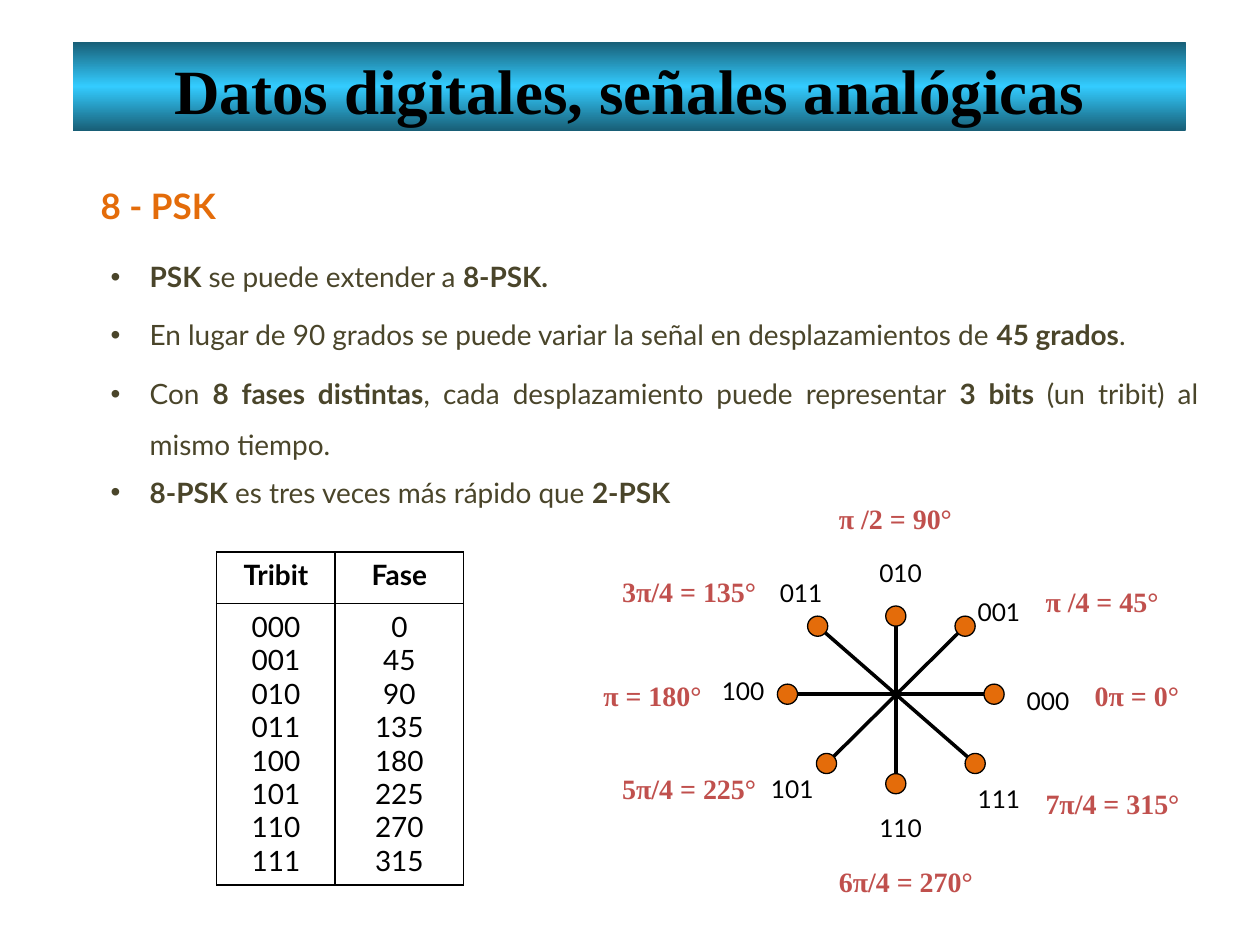
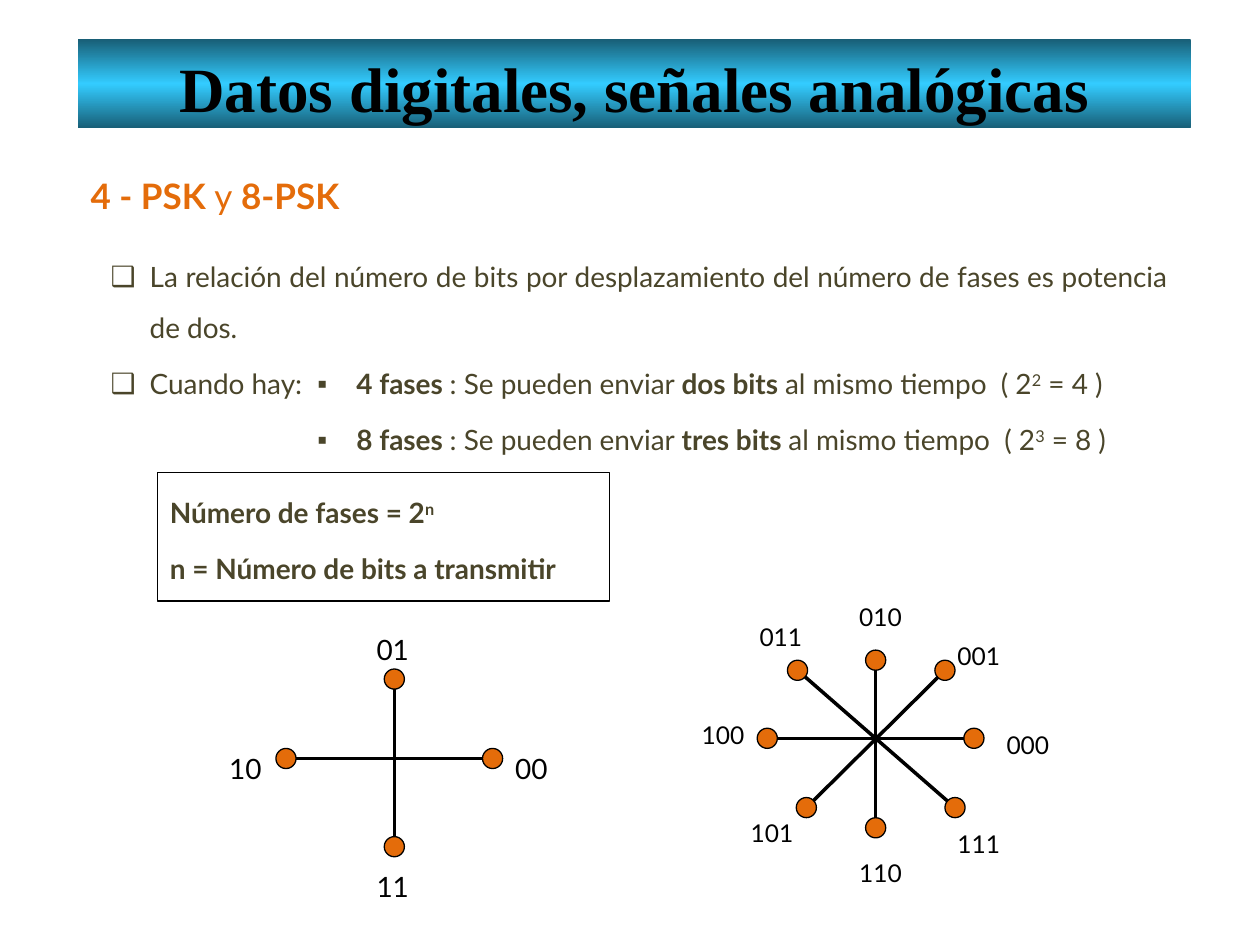
import copy

import pptx
import pptx.dml.color
import pptx.enum.shapes
import pptx.enum.text
import pptx.oxml.ns
import pptx.util
from lxml import etree

Inches = pptx.util.Inches
Pt = pptx.util.Pt
RGB = pptx.dml.color.RGBColor
Align = pptx.enum.text.PP_ALIGN
Anchor = pptx.enum.text.MSO_ANCHOR
Kind = pptx.enum.shapes.MSO_SHAPE
qn = pptx.oxml.ns.qn

BLACK = RGB(0x00, 0x00, 0x00)
TEAL = RGB(0x18, 0x5E, 0x76)
SKY = RGB(0x33, 0xCC, 0xFF)
ORANGE = RGB(0xE4, 0x6C, 0x0A)
OLIVE = RGB(0x4A, 0x45, 0x2A)
RED = RGB(0xC0, 0x50, 0x4D)

SANS = "Lato"
SERIF = "Times New Roman"
DOT = 0.16
HANG = 0.31

EIGHT = [
    ("000", 0.78, 0, 0.94, -0.23),
    ("001", 0.55, -0.54, 0.55, -0.94),
    ("010", 0, -0.62, -0.23, -1.25),
    ("011", -0.62, -0.54, -1.02, -1.09),
    ("100", -0.86, 0, -1.48, -0.31),
    ("101", -0.55, 0.55, -1.09, 0.47),
    ("110", 0, 0.71, -0.23, 0.78),
    ("111", 0.63, 0.55, 0.55, 0.55),
]
FOUR = [
    ("00", 0.78, 0, 0.86, -0.24),
    ("01", 0, -0.63, -0.24, -1.18),
    ("10", -0.86, 0, -1.41, -0.24),
    ("11", 0, 0.7, -0.24, 0.7),
]


class Deck:
    def __init__(self):
        self.file = pptx.Presentation()
        self.file.slide_width = Inches(10)
        self.file.slide_height = Inches(7.5)
        self.slide = None

    def start(self, left, top):
        self.slide = self.file.slides.add_slide(self.file.slide_layouts[5])
        band = self.slide.shapes.title
        band.left, band.top = Inches(left), Inches(top)
        band.width, band.height = Inches(8.83), Inches(0.71)
        band.fill.gradient()
        band.fill.gradient_angle = 90
        stops = next(band._element.iter(qn("a:gsLst")))
        stops.append(copy.deepcopy(stops[0]))
        for stop, place, tone in zip(band.fill.gradient_stops, (0, 0.5, 1), (TEAL, SKY, TEAL)):
            stop.position = place
            stop.color.rgb = tone
        frame = band.text_frame
        frame.text = "Datos digitales, señales analógicas"
        frame.auto_size = pptx.enum.text.MSO_AUTO_SIZE.NONE
        frame.vertical_anchor = Anchor.MIDDLE
        frame.margin_top, frame.margin_bottom = Inches(0.1), Inches(0.05)
        para = frame.paragraphs[0]
        para.alignment = Align.CENTER
        self.style(para.runs[0], 36, BLACK, True, SERIF)

    def style(self, run, size, color, bold=False, face=SANS):
        run.font.name = face
        run.font.size = Pt(size)
        run.font.bold = bold
        run.font.color.rgb = color

    def lines(self, frame, rows, size, color, face=SANS, mark=None, gap=0.0):
        frame.word_wrap = True
        frame.vertical_anchor = Anchor.TOP
        frame.text = "\n".join(rows)
        for para, row in zip(frame.paragraphs, rows):
            para.text = ""
            para.alignment = Align.JUSTIFY
            para.line_spacing = 1.5
            para.space_before = Pt(size * gap)
            if mark:
                self.bullet(para, mark)
            for i, part in enumerate(row.split("*")):
                for j, piece in enumerate(part.split("^")):
                    if piece:
                        run = para.add_run()
                        run.text = piece
                        self.style(run, size, color, i % 2 == 1, face)
                        if j % 2:
                            run._r.get_or_add_rPr().set("baseline", "30000")

    def bullet(self, para, mark):
        props = para._p.get_or_add_pPr()
        props.set("marL", str(Inches(HANG)))
        props.set("indent", str(-Inches(HANG)))
        etree.SubElement(props, qn("a:buFont")).set("typeface", "Arial")
        etree.SubElement(props, qn("a:buChar")).set("char", mark)

    def text(self, left, top, width, height, rows, size=16, color=OLIVE, **rest):
        box = self.slide.shapes.add_textbox(
            Inches(left), Inches(top), Inches(width), Inches(height))
        self.lines(box.text_frame, rows, size, color, **rest)

    def shape(self, kind, left, top, width, height, fill=None):
        item = self.slide.shapes.add_shape(
            kind, Inches(left), Inches(top), Inches(width), Inches(height))
        item.shadow.inherit = False
        if fill is None:
            item.fill.background()
        else:
            item.fill.solid()
            item.fill.fore_color.rgb = fill
        item.line.color.rgb = BLACK
        item.line.width = Pt(0.75)
        return item

    def line(self, x1, y1, x2, y2):
        link = self.slide.shapes.add_connector(
            pptx.enum.shapes.MSO_CONNECTOR.STRAIGHT,
            Inches(x1), Inches(y1), Inches(x2), Inches(y2))
        link.line.color.rgb = BLACK
        link.line.width = Pt(2)
        etree.SubElement(link._element.spPr, qn("a:effectLst"))

    def wheel(self, x, y, arms, size, width):
        half = len(arms) // 2
        for one, two in zip(arms[:half], arms[half:]):
            self.line(x + one[1], y + one[2], x + two[1], y + two[2])
        for code, dx, dy, left, top in arms:
            self.shape(Kind.OVAL, x + dx - DOT / 2, y + dy - DOT / 2, DOT, DOT, ORANGE)
            self.text(x + left, y + top, width, 0.55, [code], size, BLACK, gap=0.2)

    def table(self, left, top, widths, heights, rows):
        grid = self.slide.shapes.add_table(
            len(rows), len(widths), Inches(left), Inches(top),
            Inches(sum(widths)), Inches(sum(heights))).table
        grid.first_row = grid.horz_banding = False
        for col, width in zip(grid.columns, widths):
            col.width = Inches(width)
        for i, (row, height) in enumerate(zip(rows, heights)):
            grid.rows[i].height = Inches(height)
            for j, value in enumerate(row):
                cell = grid.cell(i, j)
                cell.text_frame.text = value
                for para in cell.text_frame.paragraphs:
                    para.alignment = Align.CENTER
                    self.style(para.runs[0], 16, BLACK, i == 0)
                self.edges(cell)
                cell.fill.background()

    def edges(self, cell):
        props = cell._tc.get_or_add_tcPr()
        for side in ("a:lnL", "a:lnR", "a:lnT", "a:lnB"):
            edge = etree.SubElement(props, qn(side))
            edge.set("w", str(Pt(1)))
            fill = etree.SubElement(edge, qn("a:solidFill"))
            etree.SubElement(fill, qn("a:srgbClr")).set("val", str(BLACK))


def eight(deck):
    deck.start(0.58, 0.33)
    deck.text(0.7, 1.25, 2.89, 0.54, ["*8 - PSK*"], 20, ORANGE)
    points = [
        (1.88, 8.75, "*PSK* se puede extender a *8-PSK.*"),
        (2.34, 8.75, "En lugar de 90 grados se puede variar la señal en "
                     "desplazamientos de *45 grados*."),
        (2.81, 8.83, "Con *8 fases distintas*, cada desplazamiento puede "
                     "representar *3 bits *(un tribit) al mismo tiempo."),
        (3.59, 5.08, "*8-PSK* es tres veces más rápido que *2-PSK*"),
    ]
    for top, width, point in points:
        deck.text(0.78, top, width, 0.55, [point], mark="•", gap=0.2)
    codes = "\n".join(arm[0] for arm in EIGHT)
    turns = "\n".join(str(45 * i) for i in range(8))
    deck.table(1.72, 4.38, (0.94, 1.02), (0.41, 2.23), [("Tribit", "Fase"), (codes, turns)])
    deck.wheel(7.11, 5.51, EIGHT, 14, 0.62)
    phases = [
        (8.59, 5.2, 0.94, "0π = 0°"), (8.2, 4.46, 1.17, "π /4 = 45°"),
        (6.56, 3.8, 1.25, "π /2 = 90°"), (4.84, 4.38, 1.33, "3π/4 = 135°"),
        (4.69, 5.2, 1.02, "π = 180°"), (4.84, 5.94, 1.33, "5π/4 = 225°"),
        (6.56, 6.68, 1.33, "6π/4 = 270°"), (8.2, 6.06, 1.33, "7π/4 = 315°"),
    ]
    for left, top, width, phase in phases:
        deck.text(left, top, width, 0.5, [f"*{phase}*"], color=RED, face=SERIF)


def both(deck):
    deck.start(0.62, 0.31)
    deck.text(0.62, 1.17, 8.12, 0.61, ["*4 - PSK *y* 8-PSK*"], 20, ORANGE)
    deck.text(0.78, 1.88, 8.59, 0.86,
              ["La relación del número de bits por desplazamiento del número "
               "de fases es potencia de dos."], mark="❑", gap=0.2)
    deck.text(0.78, 2.73, 1.95, 0.55, ["Cuando hay:"], mark="❑", gap=0.2)
    cases = [("4", "dos", "2"), ("8", "tres", "3")]
    deck.text(2.42, 2.73, 7.03, 1.02,
              [f"*{count} fases *: Se pueden enviar *{word} bits *al mismo tiempo  "
               f"( 2^{power}^ = {count} )" for count, word, power in cases],
              mark="▪", gap=0.2)
    rule = deck.shape(Kind.RECTANGLE, 1.25, 3.75, 3.59, 1.02)
    deck.lines(rule.text_frame,
               ["*Número de fases = 2^n^*", "*n = Número de bits a transmitir*"],
               16, OLIVE, gap=0.2)
    deck.wheel(3.13, 6.02, FOUR, 16, 0.55)
    deck.wheel(6.95, 5.86, EIGHT, 14, 0.63)


def main():
    deck = Deck()
    eight(deck)
    both(deck)
    deck.file.save("out.pptx")


if __name__ == "__main__":
    main()
